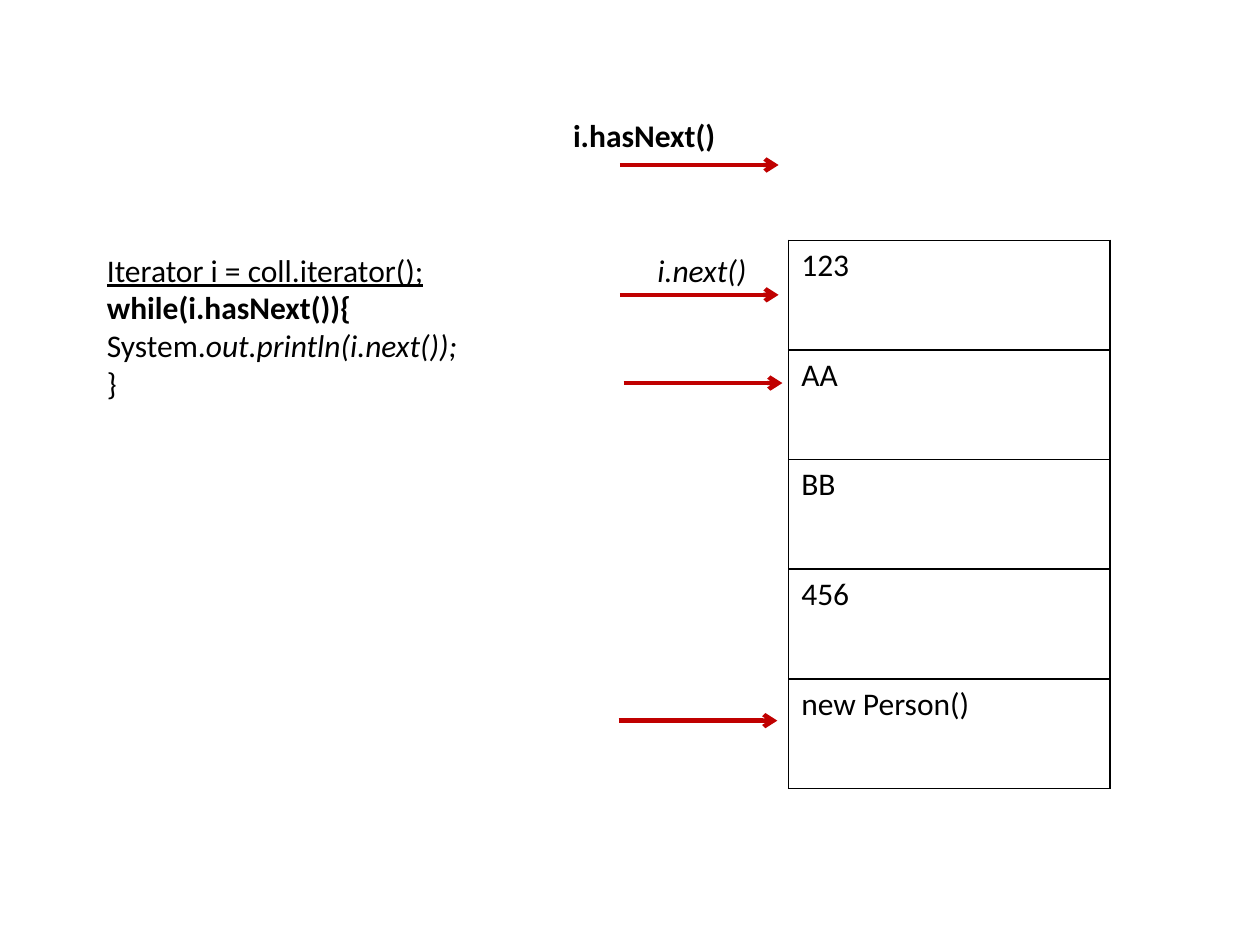
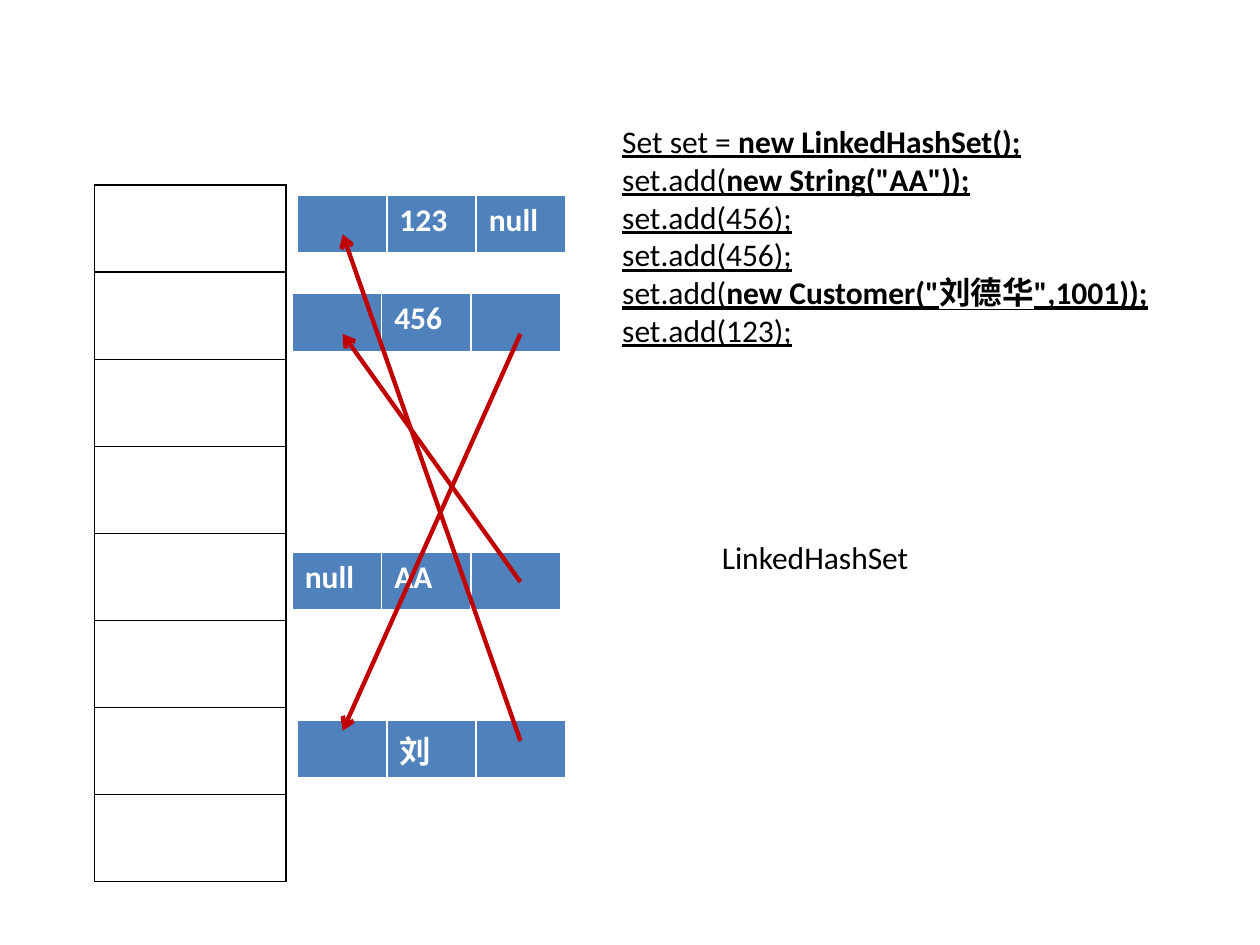
import pptx
import pptx.dml.color
import pptx.enum.shapes
import pptx.enum.text
import pptx.oxml
import pptx.oxml.ns
import pptx.util

Pt = pptx.util.Pt

FONT, FONT_SIZE = "Calibri", 18
BLACK, WHITE, RED, BLUE = "000000", "FFFFFF", "C00000", "4F81BD"
GRID_BORDERS = {side: (BLACK, 1) for side in "LRTB"}
ENTRY_BORDERS = {"L": (WHITE, 1), "R": (WHITE, 1), "T": (WHITE, 1), "B": (WHITE, 3)}

# A line of text is a list of runs: (text, style letters b, i, u)
ITERATOR_CODE = [
    [("Iterator i = coll.iterator();", "u")],
    [("while(i.hasNext()){", "b")],
    [("System.", ""), ("out.println(i.next());", "i")],
    [("}", "")],
]
COLLECTION = ["123", "AA", "BB", "456", "new Person()"]
CURSOR_LENGTH = 90.7
CURSORS = [(354.2, 94.3), (354.2, 168.5), (356.4, 218.9), (353.5, 411.8)]

SET_CODE = [
    [("Set set = ", "u"), ("new LinkedHashSet();", "bu")],
    [("set.add(", "u"), ('new String("AA"));', "bu")],
    [("set.add(456);", "u")],
    [("set.add(456);", "u")],
    [("set.add(", "u"), ('new Customer("刘德华",1001));', "bu")],
    [("set.add(123);", "u")],
]
BUCKET_COUNT = 8
ENTRY_SIZE = (153.4, 33.84)
ENTRIES = [  # left, top, (previous, value, next)
    (167, 315.4, ("null", "AA", "")),
    (167, 167.8, ("", "456", "")),
    (169.9, 411.8, ("", "刘", "")),
    (169.9, 111.6, ("", "123", "null")),
]
LINK_START, LINK_END = 297.4, 195.8
LINKS = [(332.6, 190.8), (190.8, 417.6), (423.4, 133.9)]  # start y, end y


def rgb(color):
    return pptx.dml.color.RGBColor.from_string(color)


def add_run(paragraph, text, style="", color=BLACK):
    run = paragraph.add_run()
    run.text = text
    font = run.font
    font.name, font.size = FONT, Pt(FONT_SIZE)
    font.color.rgb = rgb(color)
    font.bold, font.italic, font.underline = (letter in style for letter in "biu")


def add_text(slide, left, top, width, height, lines, wrap=True):
    frame = slide.shapes.add_textbox(Pt(left), Pt(top), Pt(width), Pt(height)).text_frame
    frame.word_wrap = wrap
    frame.auto_size = pptx.enum.text.MSO_AUTO_SIZE.SHAPE_TO_FIT_TEXT
    for index, runs in enumerate(lines):
        paragraph = frame.add_paragraph() if index else frame.paragraphs[0]
        for text, style in runs:
            add_run(paragraph, text, style)


def add_arrow(slide, start_x, start_y, end_x, end_y):
    arrow = slide.shapes.add_connector(
        pptx.enum.shapes.MSO_CONNECTOR.STRAIGHT,
        Pt(start_x), Pt(start_y), Pt(end_x), Pt(end_y))
    arrow.line.color.rgb = rgb(RED)
    arrow.line.width = Pt(2.5)
    head = pptx.oxml.parse_xml(f'<a:tailEnd {pptx.oxml.ns.nsdecls("a")} type="arrow"/>')
    arrow.line._get_or_add_ln().append(head)
    no_shadow = pptx.oxml.parse_xml(f'<a:effectLst {pptx.oxml.ns.nsdecls("a")}/>')
    arrow._element.spPr.append(no_shadow)


def set_borders(cell, borders):
    properties = cell._tc.get_or_add_tcPr()
    for side, (color, width) in borders.items():
        properties.append(pptx.oxml.parse_xml(
            f'<a:ln{side} {pptx.oxml.ns.nsdecls("a")} w="{Pt(width)}">'
            f'<a:solidFill><a:srgbClr val="{color}"/></a:solidFill></a:ln{side}>'))


def add_table(slide, left, top, width, height, rows, borders, fill=None, style="", color=BLACK):
    table = slide.shapes.add_table(
        len(rows), len(rows[0]), Pt(left), Pt(top), Pt(width), Pt(height)).table
    table.first_row = table.horz_banding = False
    for row_index, row in enumerate(rows):
        for column_index, text in enumerate(row):
            cell = table.cell(row_index, column_index)
            set_borders(cell, borders)
            if fill:
                cell.fill.solid()
                cell.fill.fore_color.rgb = rgb(fill)
            else:
                cell.fill.background()
            if text:
                add_run(cell.text_frame.paragraphs[0], text, style, color)


def build_iterator_slide(slide):
    add_text(slide, 54, 139.7, 226.8, 94.3, ITERATOR_CODE)
    add_table(slide, 450.7, 137.4, 183.6, 313.2, [[item] for item in COLLECTION], GRID_BORDERS)
    add_text(slide, 320.4, 62.6, 96.5, 29, [[("i.hasNext()", "b")]], wrap=False)
    add_text(slide, 368.6, 139.7, 66.2, 29, [[("i.next()", "i")]], wrap=False)
    for left, y in CURSORS:
        add_arrow(slide, left, y, left + CURSOR_LENGTH, y)


def build_linked_set_slide(slide):
    add_text(slide, 348.5, 66.2, 360, 138.2, SET_CODE)
    add_table(slide, 54, 105.8, 109.4, 398.2, [[""]] * BUCKET_COUNT, GRID_BORDERS)
    for left, top, parts in ENTRIES:
        add_table(slide, left, top, *ENTRY_SIZE, [parts], ENTRY_BORDERS, BLUE, "b", WHITE)
    for start_y, end_y in LINKS:
        add_arrow(slide, LINK_START, start_y, LINK_END, end_y)
    add_text(slide, 405.4, 303.8, 266.4, 29, [[("LinkedHashSet", "")]])


def main():
    presentation = pptx.Presentation()
    presentation.slide_width, presentation.slide_height = Pt(720), Pt(540)
    blank = presentation.slide_layouts[6]
    for build in (build_iterator_slide, build_linked_set_slide):
        build(presentation.slides.add_slide(blank))
    presentation.save("out.pptx")


if __name__ == "__main__":
    main()
